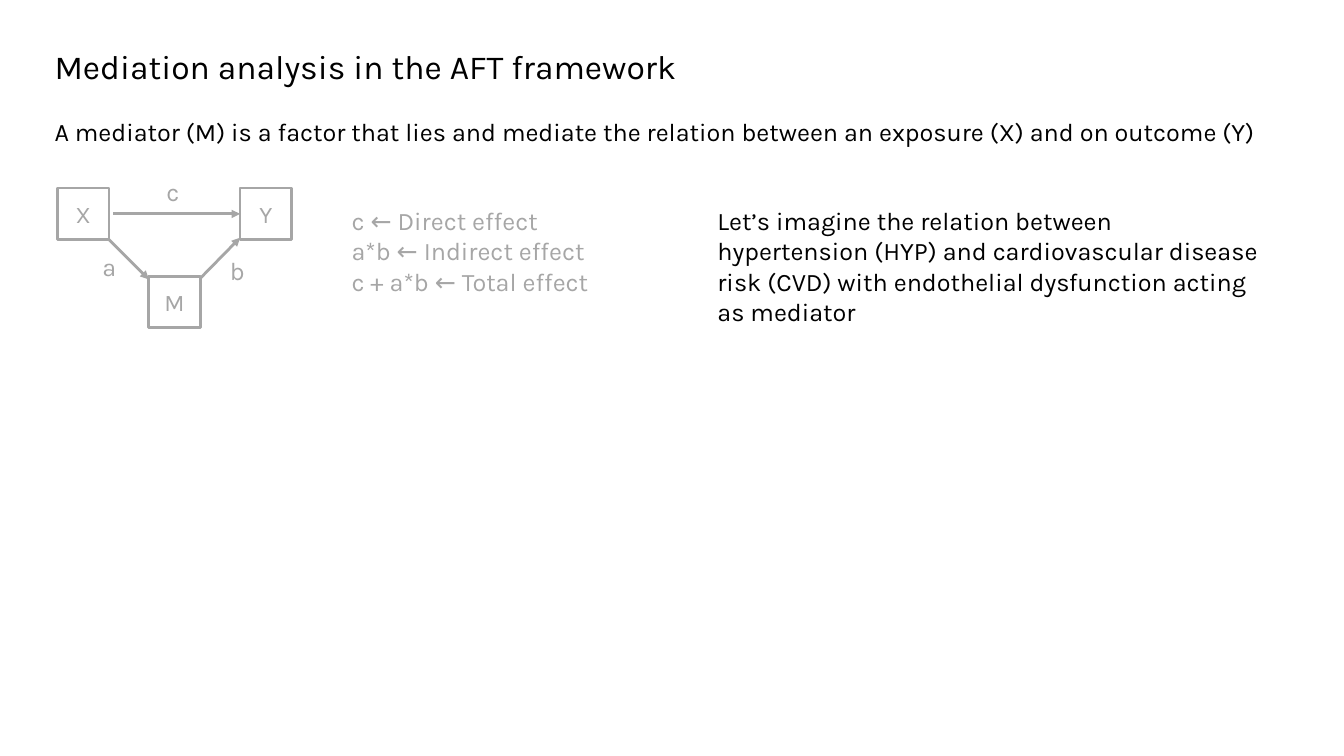
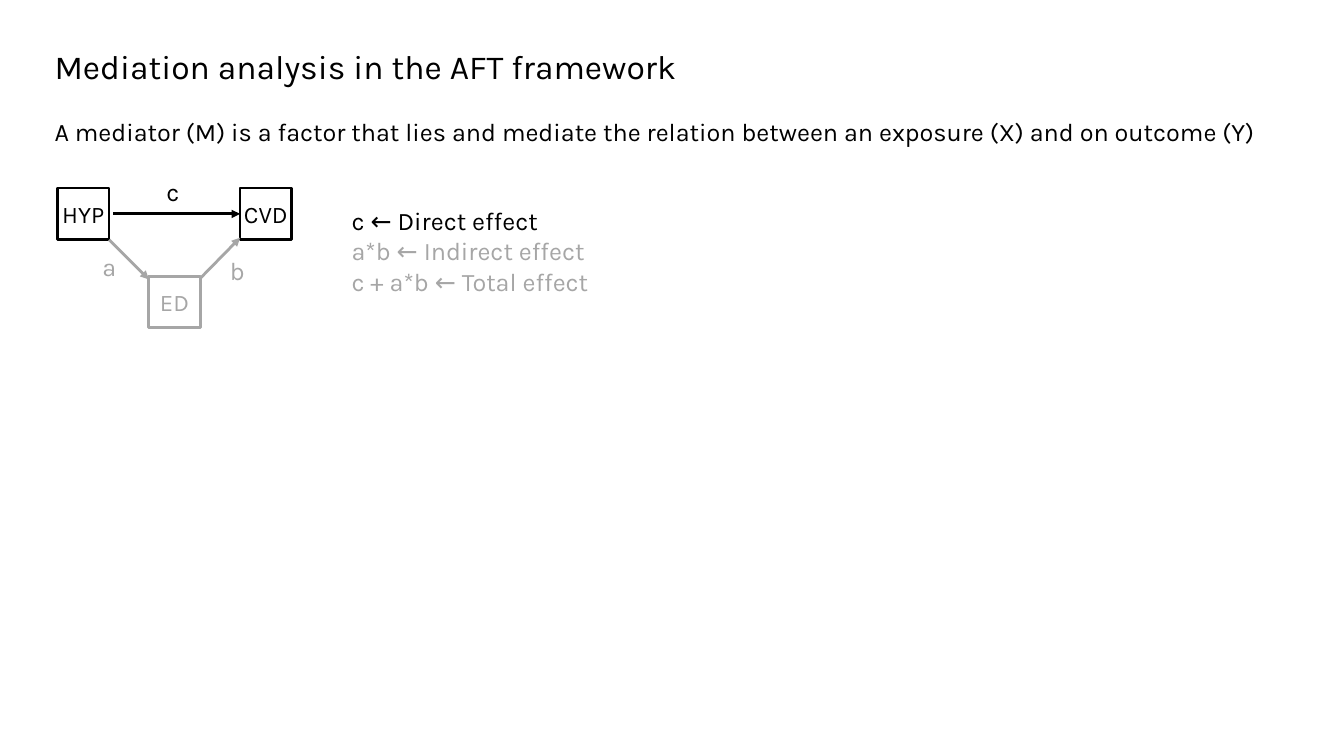
"""Build two slides that introduce mediation analysis in the AFT framework."""
from dataclasses import dataclass

from lxml import etree
from pptx import Presentation
from pptx.dml.color import RGBColor
from pptx.enum.shapes import MSO_CONNECTOR, MSO_SHAPE
from pptx.enum.text import MSO_ANCHOR, MSO_AUTO_SIZE, PP_ALIGN
from pptx.oxml.ns import qn
from pptx.util import Cm, Pt

RECT = MSO_SHAPE.RECTANGLE
STRAIGHT = MSO_CONNECTOR.STRAIGHT
TOP, MIDDLE = MSO_ANCHOR.TOP, MSO_ANCHOR.MIDDLE
NO_FIT = MSO_AUTO_SIZE.NONE
LEFT, CENTER = PP_ALIGN.LEFT, PP_ALIGN.CENTER


@dataclass(frozen=True)
class Theme:
    font: str = "Karla"
    ink: RGBColor = RGBColor(0, 0, 0)
    muted: RGBColor = RGBColor(0xA6, 0xA6, 0xA6)
    paper: RGBColor = RGBColor(0xFF, 0xFF, 0xFF)
    title: Pt = Pt(24)
    body: Pt = Pt(18)
    node: Pt = Pt(17)
    line: Pt = Pt(2)


T = Theme()


def place(sp, left, top, width, height):
    sp.left, sp.top, sp.width, sp.height = Cm(left), Cm(top), Cm(width), Cm(height)


def write(sp, lines, size, align=LEFT, anchor=TOP):
    tf = sp.text_frame
    tf.word_wrap = True
    tf.auto_size = NO_FIT
    tf.vertical_anchor = anchor
    for i, (text, color) in enumerate(lines):
        p = tf.add_paragraph() if i else tf.paragraphs[0]
        p.alignment = align
        p.space_before = Pt(0)
        r = p.add_run()
        r.text = text
        r.font.name = T.font
        r.font.size = size
        r.font.color.rgb = color


TITLE = "Mediation analysis in the AFT framework"
LEDE = ("A mediator (M) is a factor that lies and mediate the relation "
        "between an exposure (X) and on outcome (Y)")
EXAMPLE = ("Let’s imagine the relation between hypertension (HYP) and "
           "cardiovascular disease risk (CVD) with endothelial dysfunction "
           "acting as mediator")
SLIDES = [
    {"nodes": ("X", "Y", "M"), "direct": T.muted, "note": EXAMPLE},
    {"nodes": ("HYP", "CVD", "ED"), "direct": T.ink, "note": None},
]

BOX = 1.3
X_LEFT, Y_LEFT, ROW_TOP, M_TOP = 1.45, 6.05, 4.74, 6.96
M_LEFT = (X_LEFT + Y_LEFT) / 2
ROW_MID = ROW_TOP + BOX / 2
ROW_BOTTOM = ROW_TOP + BOX

prs = Presentation()
prs.slide_width, prs.slide_height = Cm(33.87), Cm(19.05)

for content in SLIDES:
    s = prs.slides.add_slide(prs.slide_layouts[1])
    direct = content["direct"]

    title, lede = s.placeholders
    place(title, 1.12, 1.04, 32.75, 1.3)
    write(title, [(TITLE, T.ink)], T.title)
    place(lede, 1.12, 2.81, 32.75, 1.05)
    write(lede, [(LEDE, T.ink)], T.body)
    pPr = lede.text_frame.paragraphs[0]._p.get_or_add_pPr()
    pPr.set("marL", "0")
    pPr.set("indent", "0")
    etree.SubElement(pPr, qn("a:buNone"))

    spots = [(X_LEFT, ROW_TOP, direct), (Y_LEFT, ROW_TOP, direct),
             (M_LEFT, M_TOP, T.muted)]
    nodes = []
    for name, (left, top, color) in zip(content["nodes"], spots):
        sp = s.shapes.add_shape(RECT, Cm(left), Cm(top), Cm(BOX), Cm(BOX))
        sp.shadow.inherit = False
        sp.fill.solid()
        sp.fill.fore_color.rgb = T.paper
        sp.line.color.rgb = color
        sp.line.width = T.line
        write(sp, [(name, color)], T.node, CENTER, MIDDLE)
        sp.text_frame.margin_left = sp.text_frame.margin_right = 0
        sp.text_frame.word_wrap = False
        nodes.append(sp)

    paths = [
        ("a", T.muted, (X_LEFT + BOX, ROW_BOTTOM, M_LEFT, M_TOP + 0.08), (2.31, 6.22)),
        ("b", T.muted, (M_LEFT + BOX, M_TOP + 0.05, Y_LEFT, ROW_BOTTOM - 0.05), (5.54, 6.3)),
        ("c", direct, (X_LEFT + BOX + 0.1, ROW_MID, Y_LEFT, ROW_MID), (3.91, 4.32)),
    ]
    for name, color, ends, (left, top) in paths:
        arrow = s.shapes.add_connector(STRAIGHT, *map(Cm, ends))
        arrow.line.color.rgb = color
        arrow.line.width = T.line
        etree.SubElement(arrow.line._get_or_add_ln(), qn("a:tailEnd"), type="triangle")
        etree.SubElement(arrow._element.spPr, qn("a:effectLst"))
        if name == "c":
            arrow.end_connect(nodes[1], 1)
        label = s.shapes.add_textbox(Cm(left), Cm(top), Cm(0.89), Cm(1.02))
        write(label, [(name, color)], T.body, CENTER)

    effects = s.shapes.add_textbox(Cm(8.61), Cm(5.05), Cm(7.92), Cm(2.57))
    write(effects, [("c ← Direct effect", direct),
                    ("a*b ← Indirect effect", T.muted),
                    ("c + a*b ← Total effect", T.muted)], T.body)

    if content["note"]:
        note = s.shapes.add_textbox(Cm(17.83), Cm(5.05), Cm(14.27), Cm(3.33))
        write(note, [(content["note"], T.ink)], T.body)

prs.save("out.pptx")
